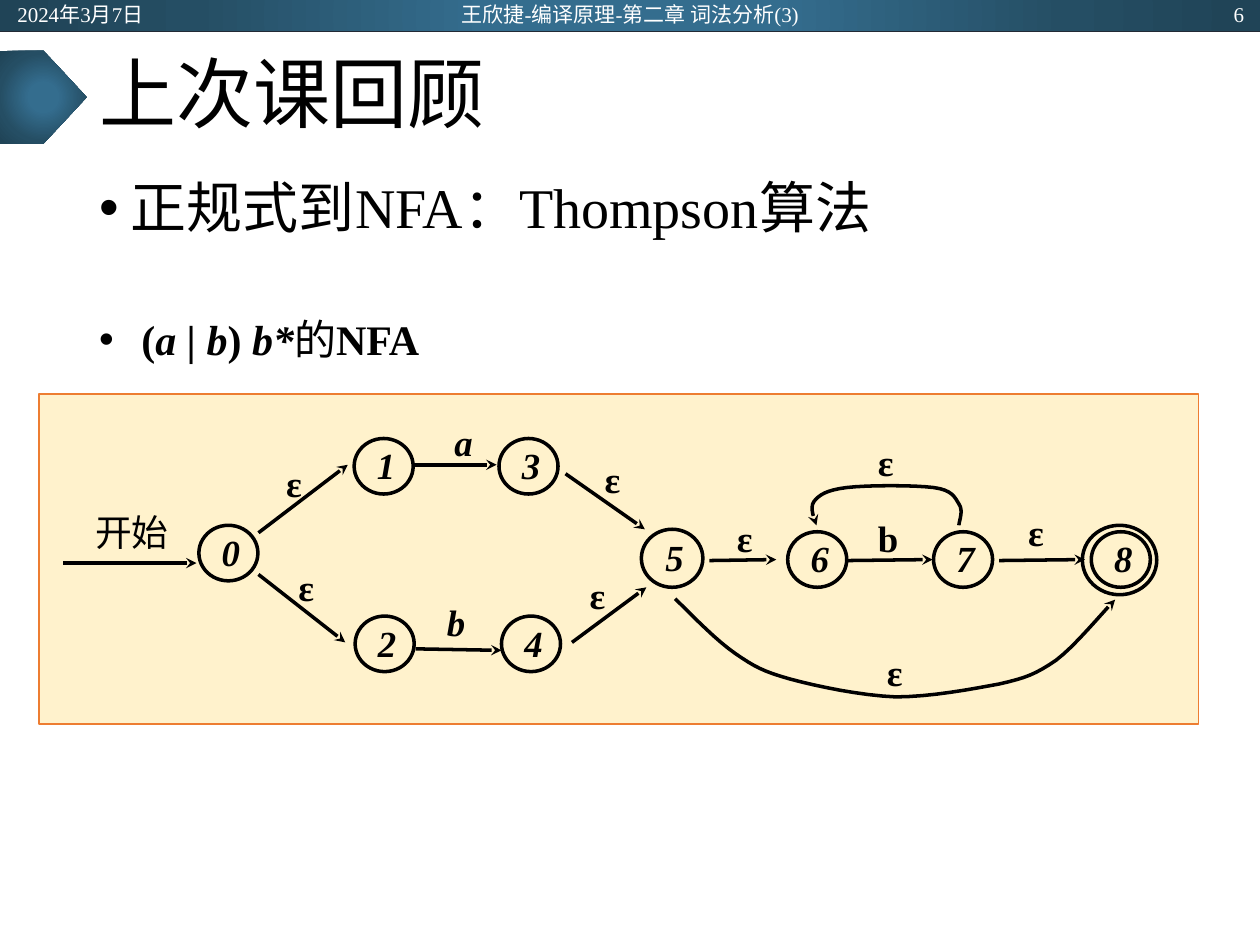
from lxml import etree
from pptx import Presentation
from pptx.dml.color import RGBColor
from pptx.enum.shapes import MSO_CONNECTOR, MSO_SHAPE
from pptx.enum.text import MSO_ANCHOR, PP_ALIGN
from pptx.oxml import parse_xml
from pptx.oxml.ns import nsdecls, qn
from pptx.util import Cm, Pt

LINE = MSO_CONNECTOR.STRAIGHT
RECT, OVAL, PLATE = MSO_SHAPE.RECTANGLE, MSO_SHAPE.OVAL, MSO_SHAPE.PENTAGON
MIDDLE, TOP = MSO_ANCHOR.MIDDLE, MSO_ANCHOR.TOP
LEFT, CENTER, RIGHT = PP_ALIGN.LEFT, PP_ALIGN.CENTER, PP_ALIGN.RIGHT

THEME = {
    "font": "Times New Roman",
    "ink": "000000", "white": "FFFFFF", "rule": "222A35",
    "panel": "FFF2CC", "edge": "ED7D31",
    "glow": [(0, "346D8E"), (23, "346D8E"), (69, "254E64"), (97, "204457")],
    "title": 44, "head": 32, "body": 24, "label": 21, "small": 12,
}

# Content: runs are (text, style), where b is bold and i is italic
TITLE = "上次课回顾"
HEADER = [
    ("2024年3月7日", (0.1, 0.03, 5.72, 0.51), LEFT),
    ("王欣捷-编译原理-第二章 词法分析(3)", (8.41, 0.03, 8.59, 0.51), CENTER),
    ("6", (19.61, 0.03, 5.72, 0.51), RIGHT),
]
POINTS = [  # size key, space before, runs
    ("head", 0, [("正规式到NFA：Thompson算法", "")]),
    ("body", 45, [(" (", "b"), ("a | b", "bi"), (")", "b"), (" b*", "bi"),
                  ("的", ""), ("NFA", "b")]),
]

# Automaton, in cm
STATE = (1.19, 1.12)
STATES = [("0", 4.01, 10.59), ("1", 7.14, 8.84), ("2", 7.16, 12.42),
          ("3", 10.06, 8.84), ("4", 10.11, 12.42), ("5", 12.93, 10.67),
          ("6", 15.88, 10.72), ("7", 18.82, 10.72), ("8", 22, 10.72)]
WIDE = {"5": (1.24, 1.17)}
FINAL = (21.82, 10.59, 1.5, 1.4)
ARROWS = [
    (1.27, 11.35, 3.96, 11.35),
    (5.21, 10.74, 7.01, 9.37), (5.21, 11.58, 6.96, 12.95),
    (8.33, 9.37, 10.01, 9.37), (8.38, 13.08, 10.11, 13.11),
    (11.4, 9.55, 13, 10.67), (11.53, 12.95, 13.03, 11.84),
    (14.3, 11.3, 15.65, 11.28), (17.09, 11.3, 18.8, 11.28),
    (20.14, 11.3, 21.87, 11.28),
]
TAG = (0.97, 0.91)
TAGS = [
    ("ε", "b", 5.44, 9.27), ("ε", "b", 5.69, 11.38),
    ("a", "bi", 8.86, 8.46), ("b", "bi", 8.71, 12.07),
    ("ε", "b", 11.86, 9.19), ("ε", "b", 11.56, 11.53),
    ("ε", "b", 14.53, 10.39), ("b", "b", 17.42, 10.39),
    ("ε", "b", 17.37, 8.86), ("ε", "b", 20.4, 10.26),
    ("ε", "b", 17.55, 13.08),
]
START = ("开始", (1.68, 10.19, 1.96, 1.07))
# Each curve is a start point, then three points per Bezier segment
CURVES = [
    [(19.33, 10.59), (19.33, 10.52), (19.43, 10.29), (19.33, 10.16),
     (19.25, 10.03), (19.2, 9.88), (18.82, 9.83),
     (18.44, 9.78), (17.48, 9.78), (17.07, 9.83),
     (16.66, 9.88), (16.51, 9.98), (16.41, 10.11),
     (16.31, 10.24), (16.43, 10.49), (16.46, 10.59)],
    [(13.61, 12.07), (14.05, 12.5), (14.43, 12.9), (14.83, 13.18),
     (15.21, 13.44), (15.39, 13.54), (15.93, 13.69),
     (16.48, 13.84), (17.35, 14.02), (18.06, 14.05),
     (18.75, 14.05), (19.61, 13.89), (20.14, 13.79),
     (20.68, 13.67), (20.88, 13.59), (21.29, 13.31),
     (21.67, 13.03), (22.23, 12.34), (22.48, 12.09)],
]
STEPS = 8


def rgb(key):
    return RGBColor.from_string(THEME[key])


def add_runs(para, runs, size, color="ink"):
    for text, style in runs:
        run = para.add_run()
        run.text = text
        font = run.font
        font.name, font.size = THEME["font"], Pt(THEME[size])
        font.bold, font.italic = "b" in style, "i" in style
        font.color.rgb = rgb(color)


def set_frame(shape, pads, anchor=MIDDLE, wrap=True):
    frame = shape.text_frame
    frame.word_wrap, frame.vertical_anchor = wrap, anchor
    (frame.margin_left, frame.margin_top,
     frame.margin_right, frame.margin_bottom) = map(Cm, pads)
    return frame


def add_text(box, runs, size, pads, align=CENTER, color="ink"):
    shape = slide.shapes.add_textbox(*map(Cm, box))
    para = set_frame(shape, pads).paragraphs[0]
    para.alignment = align
    add_runs(para, runs, size, color)
    return para


def add_box(kind, box):
    shape = slide.shapes.add_shape(kind, *map(Cm, box))
    shape.shadow.inherit = False
    shape.fill.background()
    shape.line.fill.background()
    return shape


def set_line(shape, color="ink", width=2, head=False):
    shape.line.color.rgb = rgb(color)
    shape.line.width = Pt(width)
    if head:
        tail = etree.SubElement(shape.line._get_or_add_ln(), qn("a:tailEnd"))
        tail.set("type", "stealth")


def add_line(ends, **look):
    line = slide.shapes.add_connector(LINE, *map(Cm, ends))
    set_line(line, **look)
    etree.SubElement(line._element.spPr, qn("a:effectLst"))


def add_glow(kind, box):
    props = add_box(kind, box)._element.spPr
    stops = "".join(f'<a:gs pos="{pos * 1000}"><a:srgbClr val="{color}"/></a:gs>'
                    for pos, color in THEME["glow"])
    grad = parse_xml(
        f'<a:gradFill {nsdecls("a")} rotWithShape="1"><a:gsLst>{stops}</a:gsLst>'
        '<a:path path="circle"><a:fillToRect l="50000" t="50000" r="50000"'
        ' b="50000"/></a:path></a:gradFill>')
    props.replace(props.find(qn("a:noFill")), grad)


def trace(knots):
    """Points along a chain of Bezier segments, in EMU."""
    for k in range(0, len(knots) - 1, 3):
        for step in range(1, STEPS + 1):
            t = step / STEPS
            u = 1 - t
            parts = (u ** 3, 3 * u * u * t, 3 * u * t * t, t ** 3)
            yield tuple(Cm(sum(w * p[axis] for w, p in zip(parts, knots[k:k + 4])))
                        for axis in (0, 1))


deck = Presentation()
deck.slide_width, deck.slide_height = Cm(25.4), Cm(19.05)
slide = deck.slides.add_slide(deck.slide_layouts[6])
WIDEPAD, TAGPAD = (0.25, 0.13, 0.25, 0.13), (0.1, 0.05, 0.1, 0.05)

# Header band and title marker
add_glow(RECT, (0, 0, 25.4, 0.64))
add_line((0, 0.64, 25.4, 0.64), color="rule", width=0.5)
add_glow(PLATE, (0, 1.02, 1.75, 1.88))
for text, box, align in HEADER:
    add_text(box, [(text, "")], "small", WIDEPAD, align, "white")

# Title
para = add_text((1.75, 0.64, 21.9, 2.64), [(TITLE, "")], "title", WIDEPAD, LEFT)
para.line_spacing = 0.9

# Bullet points
body = slide.shapes.add_textbox(*map(Cm, (1.75, 3.5, 21.9, 13.67)))
frame = set_frame(body, WIDEPAD, TOP)
for n, (size, gap, runs) in enumerate(POINTS):
    para = frame.add_paragraph() if n else frame.paragraphs[0]
    props = para._p.get_or_add_pPr()
    props.set("marL", str(Cm(0.64)))
    props.set("indent", str(-Cm(0.64)))
    etree.SubElement(props, qn("a:buFont")).set("typeface", "Arial")
    etree.SubElement(props, qn("a:buChar")).set("char", "•")
    para.line_spacing, para.space_before = 0.9, Pt(gap)
    add_runs(para, runs, size)

# Panel
panel = add_box(RECT, (0.79, 7.95, 23.37, 6.65))
panel.fill.solid()
panel.fill.fore_color.rgb = rgb("panel")
set_line(panel, "edge", 1)

# States
set_line(add_box(OVAL, FINAL))
for name, x, y in STATES:
    state = add_box(OVAL, (x, y, *WIDE.get(name, STATE)))
    set_line(state)
    para = set_frame(state, (0.15, 0.05, 0.05, 0.1), wrap=False).paragraphs[0]
    para.alignment = CENTER
    add_runs(para, [(name, "bi")], "label")

# Transitions
for ends in ARROWS:
    add_line(ends, head=True)
for knots in CURVES:
    pen = slide.shapes.build_freeform(*map(Cm, knots[0]))
    pen.add_line_segments(list(trace(knots)), close=False)
    curve = pen.convert_to_shape()
    curve.shadow.inherit = False
    curve.fill.background()
    set_line(curve, head=True)

# Labels
for text, style, x, y in TAGS:
    add_text((x, y, *TAG), [(text, style)], "label", TAGPAD)
add_text(START[1], [(START[0], "")], "label", TAGPAD)

deck.save("out.pptx")
